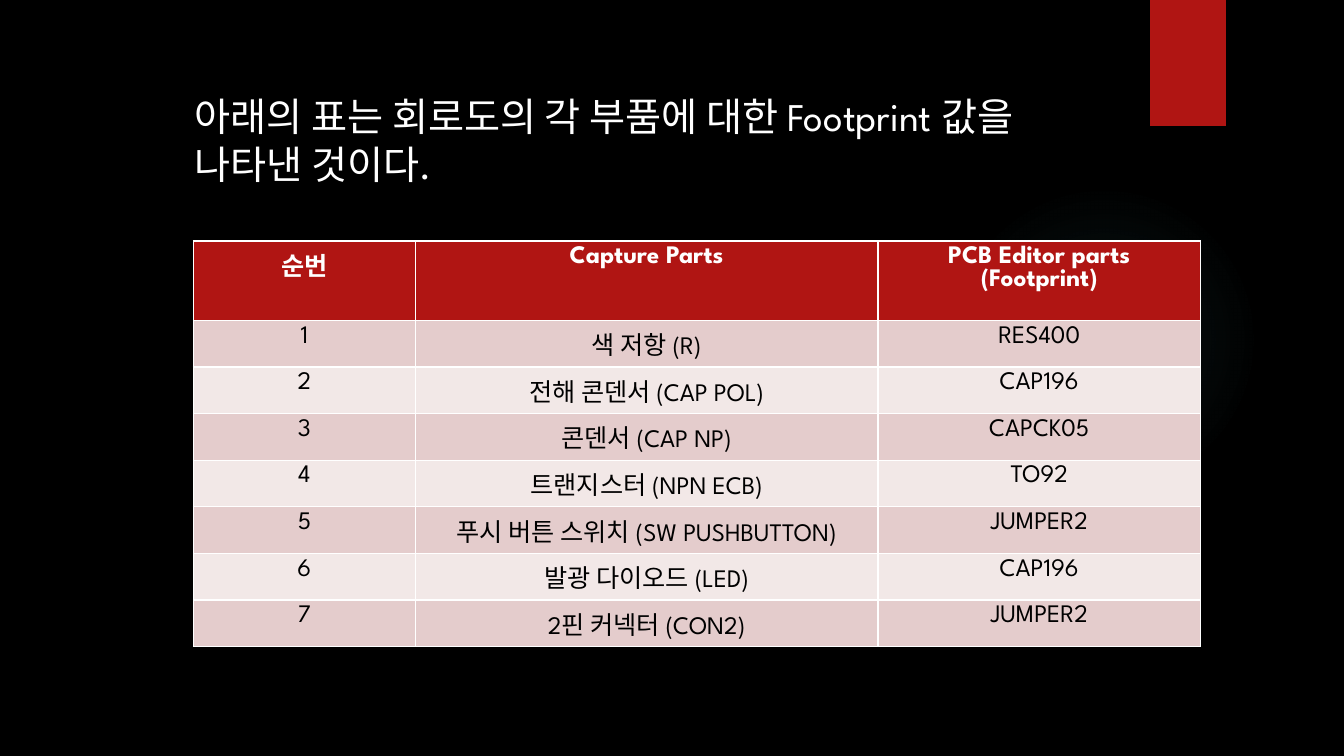
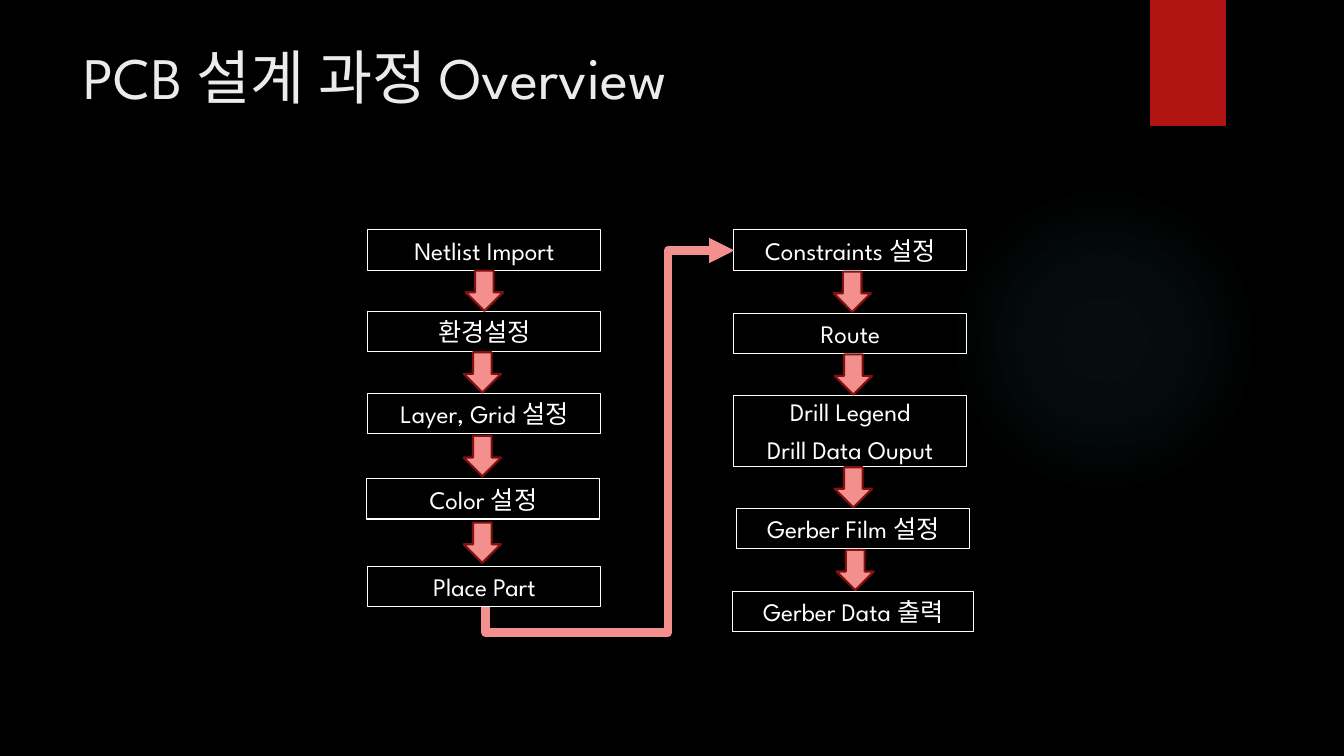
from lxml import etree
from pptx import Presentation
from pptx import util as u
from pptx.dml.color import RGBColor
from pptx.enum import shapes as sh, text as tx
from pptx.oxml import parse_xml
from pptx.oxml.ns import nsdecls, qn

WIDE, HIGH = u.Inches(13.333), u.Inches(7.5)
FONT = "League Spartan"
BLACK = RGBColor(0x00, 0x00, 0x00)
WHITE = RGBColor(0xFF, 0xFF, 0xFF)
PALE = RGBColor(0xEB, 0xEB, 0xEB)
RED = RGBColor(0xB0, 0x15, 0x13)
DARK = RGBColor(0x82, 0x10, 0x0E)
PINK = RGBColor(0xF3, 0x8F, 0x8D)
TEAL = RGBColor(0x50, 0xB9, 0xC1)
BANDS = RGBColor(0xE4, 0xCC, 0xCC), RGBColor(0xF2, 0xE8, 0xE7)

HEADS = "순번", "Capture Parts", "PCB Editor parts (Footprint)"
PARTS = [
    ("색 저항 (R)", "RES400"),
    ("전해 콘덴서 (CAP POL)", "CAP196"),
    ("콘덴서 (CAP NP)", "CAPCK05"),
    ("트랜지스터 (NPN ECB)", "TO92"),
    ("푸시 버튼 스위치 (SW PUSHBUTTON)", "JUMPER2"),
    ("발광 다이오드 (LED)", "CAP196"),
    ("2핀 커넥터 (CON2)", "JUMPER2"),
]
COLS = 16.5, 34.43, 24
HEAD_H, ROW_H = 10.53, 6.15

STEP_W, ARROW_W, ARROW_H = 17.33, 2.78, 5.33
LEFT = [
    (["Netlist Import"], 27.38, 30.4, STEP_W),
    (["환경설정"], 27.38, 41.2, STEP_W),
    (["Layer, Grid 설정"], 27.38, 52, STEP_W),
    (["Color 설정"], 27.3, 63.33, STEP_W),
    (["Place Part"], 27.38, 74.93, STEP_W),
]
RIGHT = [
    (["Constraints 설정"], 54.6, 30.4, STEP_W),
    (["Route"], 54.6, 41.47, STEP_W),
    (["Drill Legend", "Drill Data Ouput"], 54.6, 52.27, STEP_W),
    (["Gerber Film 설정"], 54.83, 67.2, STEP_W),
    (["Gerber Data 출력"], 54.53, 78.27, 17.93),
]
FLOWS = [(LEFT, (34.65, 34.5, 34.5, 34.5)),
         (RIGHT, (62.02, 62.1, 62.1, 62.25))]


def across(share):
    return u.Emu(round(WIDE * share / 100))


def down(share):
    return u.Emu(round(HIGH * share / 100))


def place(x, y, w, h):
    return across(x), down(y), across(w), down(h)


def write(para, words, size, color, bold=False):
    run = para.add_run()
    run.text = words
    font = run.font
    font.name, font.size, font.bold = FONT, u.Pt(size), bold
    font.color.rgb = color


def form(group, kind, area, fill=None, line=None, width=0.75):
    shape = group.add_shape(kind, *place(*area))
    shape.shadow.inherit = False
    if fill is None:
        shape.fill.background()
    else:
        shape.fill.solid()
        shape.fill.fore_color.rgb = fill
    if line is None:
        shape.line.fill.background()
    else:
        shape.line.color.rgb = line
        shape.line.width = u.Pt(width)
    return shape


def glow(shape):
    stops = "".join(
        f'<a:gs pos="{pos}000"><a:srgbClr val="{TEAL}">'
        f'<a:alpha val="{alpha}000"/></a:srgbClr></a:gs>'
        for pos, alpha in ((0, 7), (36, 6), (69, 0)))
    grad = parse_xml(
        f'<a:gradFill {nsdecls("a")}><a:gsLst>{stops}</a:gsLst>'
        '<a:path path="circle"><a:fillToRect l="50000" t="50000" '
        'r="50000" b="50000"/></a:path></a:gradFill>')
    props = shape._element.spPr
    props.replace(props.find(qn("a:noFill")), grad)


def decor(layout, slide):
    layout.background.fill.solid()
    layout.background.fill.fore_color.rgb = BLACK
    halo = form(slide.shapes, sh.MSO_SHAPE.OVAL, (70.58, 24.4, 23.1, 41.07))
    glow(halo)
    tab = form(slide.shapes, sh.MSO_SHAPE.RECTANGLE,
               (85.58, 0, 5.63, 16.67), RED)
    for part in (halo, tab):
        layout.shapes._spTree.append(part._element)


def title(slide, words, area, size, color):
    head = slide.shapes.title
    head.left, head.top, head.width, head.height = place(*area)
    frame = head.text_frame
    frame.word_wrap = True
    frame.auto_size = tx.MSO_AUTO_SIZE.NONE
    frame.vertical_anchor = tx.MSO_ANCHOR.TOP
    para = frame.paragraphs[0]
    para.alignment, para.line_spacing = tx.PP_ALIGN.LEFT, 1.0
    write(para, words, size, color)


def table(slide):
    rows = [HEADS] + [(str(n), *part) for n, part in enumerate(PARTS, 1)]
    area = 14.4, 31.87, sum(COLS), HEAD_H + ROW_H * len(PARTS)
    grid = slide.shapes.add_table(len(rows), len(COLS), *place(*area)).table
    for col, share in zip(grid.columns, COLS):
        col.width = across(share)
    for r, row in enumerate(rows):
        grid.rows[r].height = down(ROW_H if r else HEAD_H)
        for c, words in enumerate(row):
            cell = grid.cell(r, c)
            cell.fill.solid()
            cell.fill.fore_color.rgb = BANDS[(r - 1) % 2] if r else RED
            para = cell.text_frame.paragraphs[0]
            para.alignment = tx.PP_ALIGN.CENTER
            write(para, words, 18, BLACK if r else WHITE, r == 0)


def tall(lines):
    return 1.2 + 4.13 * len(lines)


def step(group, lines, x, y, w):
    box = form(group, sh.MSO_SHAPE.RECTANGLE, (x, y, w, tall(lines)),
               line=WHITE)
    frame = box.text_frame
    frame.word_wrap = True
    frame.vertical_anchor = tx.MSO_ANCHOR.MIDDLE
    for n, words in enumerate(lines):
        para = frame.add_paragraph() if n else frame.paragraphs[0]
        para.alignment = tx.PP_ALIGN.CENTER
        if n:
            para.space_before = u.Pt(5.5)
        write(para, words, 18, WHITE)


def flow(group, steps, spots):
    for item in steps:
        step(group, *item)
    for item, after, x in zip(steps, steps[1:], spots):
        end = item[2] + tall(item[0])
        y = (end + after[2] - ARROW_H) / 2
        form(group, sh.MSO_SHAPE.DOWN_ARROW, (x, y, ARROW_W, ARROW_H),
             PINK, DARK, 1.5)


def link(group):
    line = group.add_connector(sh.MSO_CONNECTOR.ELBOW, across(58.65),
                               down(73.2), across(32.1), down(40.27))
    line.line.color.rgb = PINK
    line.line.width = u.Pt(6)
    props = line._element.spPr
    props.find(qn("a:xfrm")).set("rot", "5400000")
    geom = props.find(qn("a:prstGeom"))
    geom.set("prst", "bentConnector4")
    turns = geom.find(qn("a:avLst"))
    for name, value in (("adj1", -7100), ("adj2", 73300)):
        etree.SubElement(turns, qn("a:gd"), name=name, fmla=f"val {value}")
    stroke = props.find(qn("a:ln"))
    etree.SubElement(stroke, qn("a:round"))
    etree.SubElement(stroke, qn("a:tailEnd"), type="triangle")
    etree.SubElement(props, qn("a:effectLst"))


def main():
    deck = Presentation()
    deck.slide_width, deck.slide_height = WIDE, HIGH
    layout = deck.slide_layouts[5]

    first = deck.slides.add_slide(layout)
    decor(layout, first)
    title(first, "아래의 표는 회로도의 각 부품에 대한 Footprint 값을 나타낸 것이다.",
          (13.72, 11.6, 69.53, 13.87), 28, WHITE)
    table(first)

    second = deck.slides.add_slide(layout)
    title(second, "PCB 설계 과정 Overview", (5.48, 4.67, 77.17, 20.4), 42, PALE)
    group = second.shapes.add_group_shape().shapes
    for steps, spots in FLOWS:
        flow(group, steps, spots)
    link(group)
    deck.save("out.pptx")


if __name__ == "__main__":
    main()
